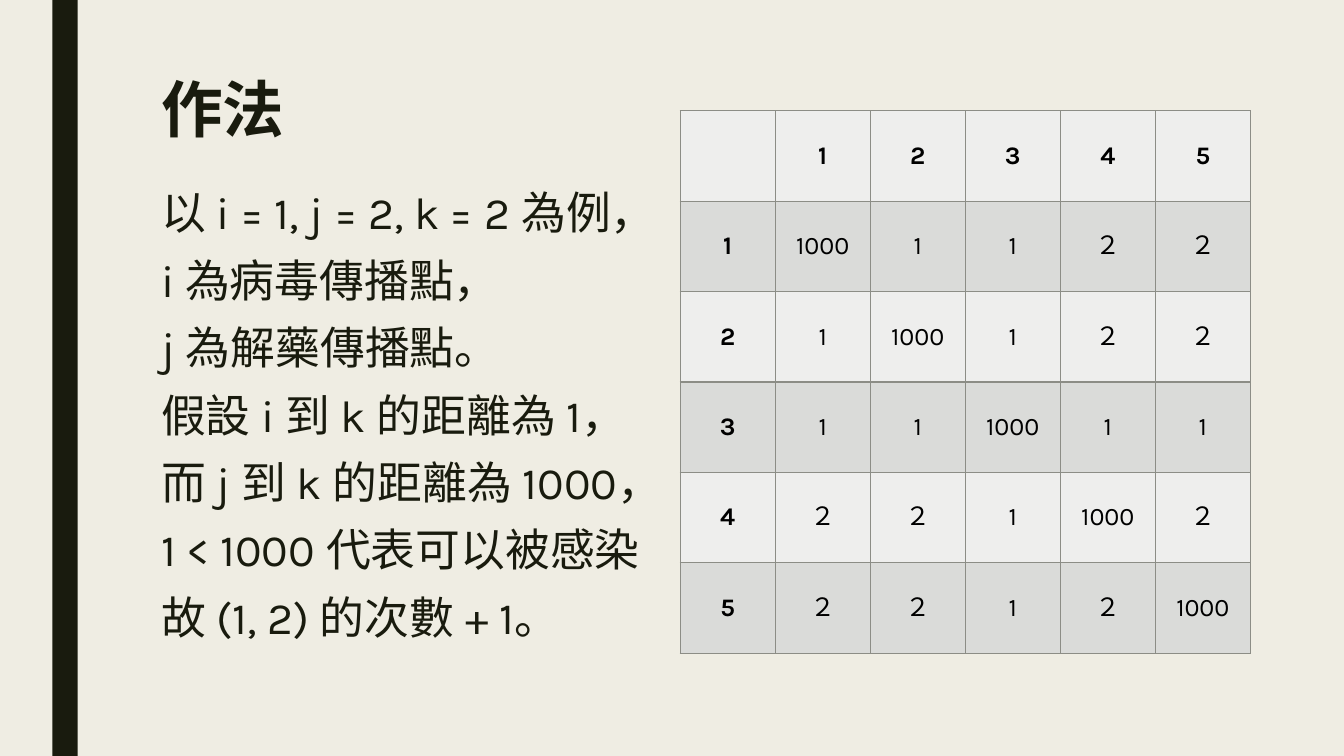
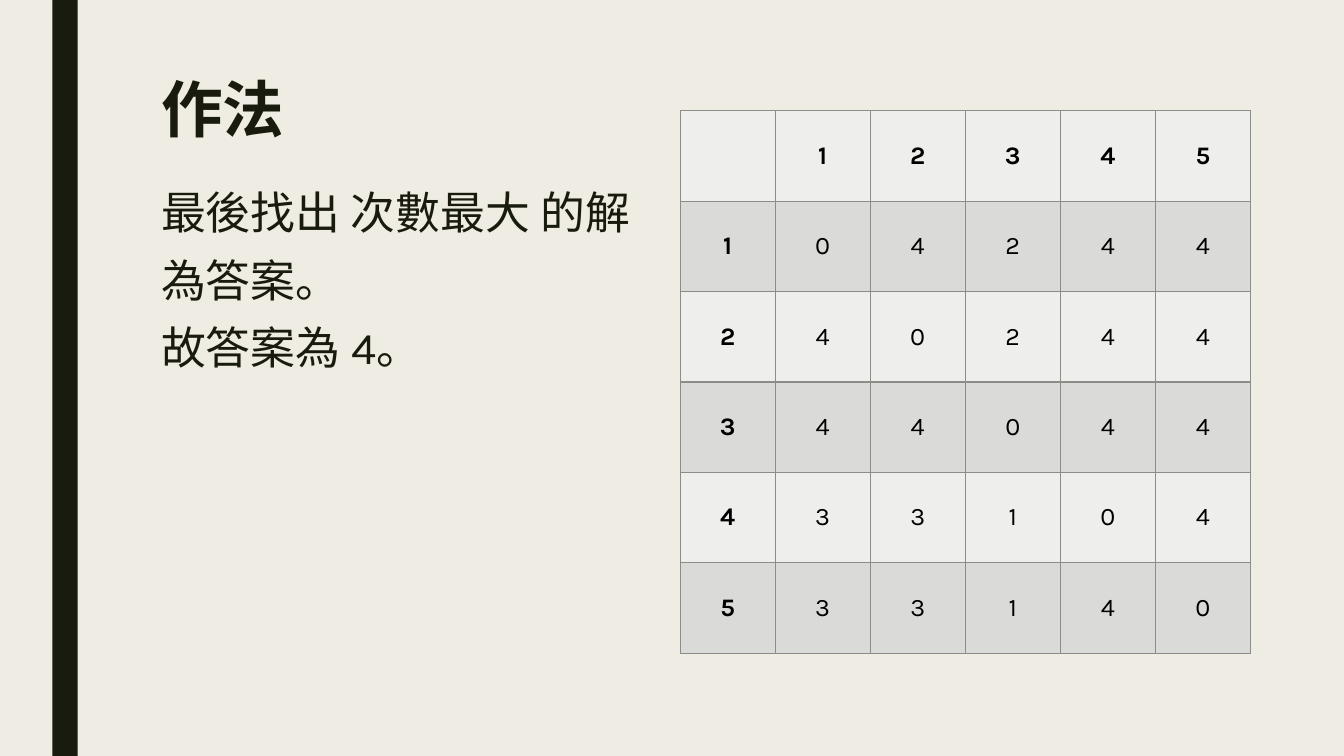
from lxml.etree import SubElement
from pptx import Presentation
from pptx.dml.color import RGBColor as RGB
from pptx.enum.shapes import MSO_SHAPE as SHAPE
from pptx.enum.text import MSO_ANCHOR as ANCHOR, PP_ALIGN as ALIGN
from pptx.oxml.ns import qn
from pptx.util import Cm, Pt

COLORS = {
    "paper": "EFEDE3",
    "ink": "191B0E",
    "black": "000000",
    "rule": "8C8D86",
    "light": "EEEEED",
    "dark": "DADBD9",
}
FONT = "Karla"
SLIDE_W, SLIDE_H = 33.87, 19.05

# Boxes in cm: left, top, width, height
BAR_BOX = (1.32, 0, 0.64, SLIDE_H)
TITLE_BOX = (3.81, 1.9, 26.67, 2.36)
BODY_BOX = (3.81, 4.65, 26.67, 11.81)
TABLE_BOX = (17.14, 2.79, 14.37, 13.67)

# Text styles: font values and paragraph values
TITLE = ({"size": Pt(44), "bold": True}, {"line_spacing": 0.89})
BODY = ({"size": Pt(32), "bold": False},
        {"line_spacing": 0.94, "space_before": Pt(10), "space_after": Pt(2)})

SLIDES = [
    {
        "title": "作法",
        "body": [
            "以 i = 1, j = 2, k = 2 為例，",
            "i 為病毒傳播點，",
            "j 為解藥傳播點。",
            "假設 i 到 k 的距離為 1，",
            "而 j 到 k 的距離為 1000，",
            "1 < 1000 代表可以被感染",
            "故 (1, 2) 的次數 + 1。",
        ],
        "matrix": [
            ["1000", "1", "1", "２", "２"],
            ["1", "1000", "1", "２", "２"],
            ["1", "1", "1000", "1", "1"],
            ["２", "２", "1", "1000", "２"],
            ["２", "２", "1", "２", "1000"],
        ],
    },
    {
        "title": "作法",
        "body": ["最後找出 次數最大 的解", "為答案。", "故答案為 4。"],
        "matrix": [
            ["0", "4", "2", "4", "4"],
            ["4", "0", "2", "4", "4"],
            ["4", "4", "0", "4", "4"],
            ["3", "3", "1", "0", "4"],
            ["3", "3", "1", "4", "0"],
        ],
    },
]


def color(name):
    return RGB.from_string(COLORS[name])


def set_attrs(obj, values):
    for name, value in values.items():
        setattr(obj, name, value)


def add_run(p, text, font, color_name):
    r = p.add_run()
    r.text = text
    set_attrs(r.font, {"name": FONT, **font})
    r.font.color.rgb = color(color_name)
    # Same typeface for East Asian text
    SubElement(r.font._element, qn("a:ea"), typeface=FONT)


def add_text(s, box, lines, style):
    font, spacing = style
    tf = s.shapes.add_textbox(*map(Cm, box)).text_frame
    tf.word_wrap = True
    for i, line in enumerate(lines):
        p = tf.add_paragraph() if i else tf.paragraphs[0]
        set_attrs(p, spacing)
        if i == 0:
            p.space_before = Pt(0)
        add_run(p, line, font, "ink")


def add_frame(s):
    # Background and side bar
    s.background.fill.solid()
    s.background.fill.fore_color.rgb = color("paper")
    bar = s.shapes.add_shape(SHAPE.RECTANGLE, *map(Cm, BAR_BOX))
    bar.shadow.inherit = False
    bar.fill.solid()
    bar.fill.fore_color.rgb = color("ink")
    bar.line.fill.background()


def add_borders(cell):
    tc_pr = cell._tc.get_or_add_tcPr()
    for side in ("lnL", "lnR", "lnT", "lnB"):
        ln = SubElement(tc_pr, qn(f"a:{side}"), w=str(Pt(1)))
        fill = SubElement(ln, qn("a:solidFill"))
        SubElement(fill, qn("a:srgbClr"), val=COLORS["rule"])


def add_matrix(s, box, matrix):
    # Numbered header row and column around the values
    n = len(matrix) + 1
    rows = [["", *map(str, range(1, n))]]
    rows += [[str(i), *values] for i, values in enumerate(matrix, 1)]
    table = s.shapes.add_table(n, n, *map(Cm, box)).table
    set_attrs(table, {"first_row": False, "horz_banding": False})
    for col in table.columns:
        col.width = Cm(box[2] / n)
    for row in table.rows:
        row.height = Cm(box[3] / n)
    for i, row in enumerate(rows):
        for j, text in enumerate(row):
            cell = table.cell(i, j)
            add_borders(cell)
            cell.fill.solid()
            cell.fill.fore_color.rgb = color("dark" if i % 2 else "light")
            cell.vertical_anchor = ANCHOR.MIDDLE
            p = cell.text_frame.paragraphs[0]
            p.alignment = ALIGN.CENTER
            if text:
                font = {"size": Pt(18), "bold": i == 0 or j == 0}
                add_run(p, text, font, "black")


def add_method_slide(prs, content):
    s = prs.slides.add_slide(prs.slide_layouts[6])
    add_frame(s)
    add_text(s, TITLE_BOX, [content["title"]], TITLE)
    add_text(s, BODY_BOX, content["body"], BODY)
    add_matrix(s, TABLE_BOX, content["matrix"])


def main():
    prs = Presentation()
    set_attrs(prs, {"slide_width": Cm(SLIDE_W), "slide_height": Cm(SLIDE_H)})
    for content in SLIDES:
        add_method_slide(prs, content)
    prs.save("out.pptx")


if __name__ == "__main__":
    main()
